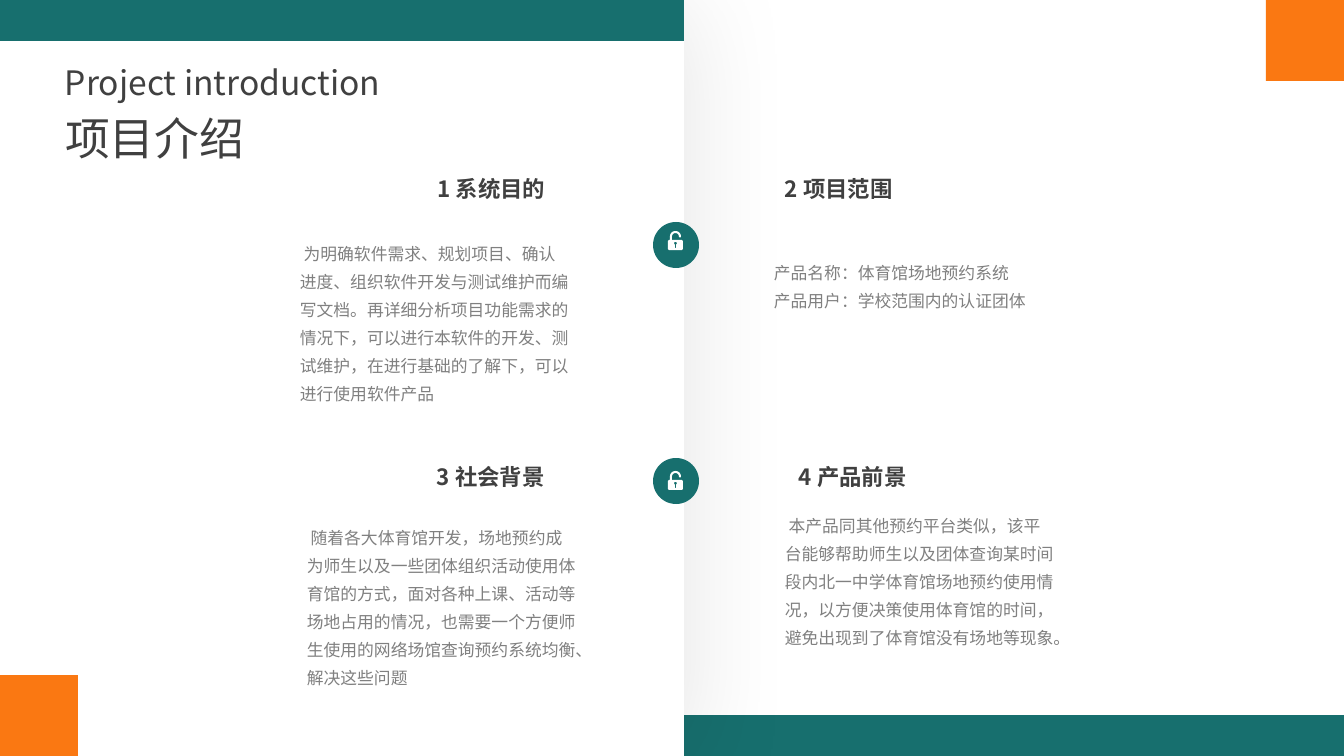
"""Build the project introduction slide with four numbered sections."""
import math
from typing import NamedTuple

from lxml import etree
from pptx import Presentation
from pptx.dml.color import RGBColor
from pptx.enum.shapes import MSO_SHAPE
from pptx.enum.text import MSO_ANCHOR, MSO_AUTO_SIZE, PP_ALIGN
from pptx.oxml.ns import qn
from pptx.util import Emu, Pt

RECTANGLE, OVAL = MSO_SHAPE.RECTANGLE, MSO_SHAPE.OVAL
LEFT, RIGHT = PP_ALIGN.LEFT, PP_ALIGN.RIGHT
TOP = MSO_ANCHOR.TOP
GROW = MSO_AUTO_SIZE.SHAPE_TO_FIT_TEXT

PIXEL = 914400 / 100.8
WIDTH, HEIGHT = 1344, 756
PANEL_WIDTH, BAND_HEIGHT = 684, 41
CORNER_WIDTH, CORNER_HEIGHT = 78, 81
BADGE_LEFT, BADGE_SIZE, LOCK_LEFT = 653, 46, 668
FONT = "Noto Sans CJK SC"
COLORS = {"teal": "176F6E", "orange": "FA7812", "white": "FFFFFF",
          "dark": "404040", "gray": "808080", "black": "000000"}


class Frame(NamedTuple):
    """Position and size in pixels."""
    left: int
    top: int
    width: int
    height: int


class TextStyle(NamedTuple):
    """Look of one kind of text."""
    size: int
    color: str
    bold: bool = False
    line_points: int | None = None


class Section(NamedTuple):
    """Heading and body text with their frames."""
    heading: str
    heading_frame: Frame
    body: str
    body_frame: Frame
    align: PP_ALIGN = LEFT


class Badge(NamedTuple):
    """Tops of a round badge and of its lock."""
    top: int
    lock_top: int


TITLE = TextStyle(32, "dark")
SUBTITLE = TextStyle(24, "dark")
HEADING = TextStyle(16, "dark", bold=True)
BODY = TextStyle(12, "gray", line_points=20)

SECTIONS = [
    Section("1 系统目的", Frame(403, 170, 152, 37),
            " 为明确软件需求、规划项目、确认进度、组织软件开发与测试维护而编写文档。"
            "再详细分析项目功能需求的情况下，可以进行本软件的开发、测试维护，"
            "在进行基础的了解下，可以进行使用软件产品",
            Frame(290, 231, 290, 179), RIGHT),
    Section("2 项目范围", Frame(775, 170, 181, 37),
            "产品名称：体育馆场地预约系统\n产品用户：学校范围内的认证团体",
            Frame(764, 250, 290, 67)),
    Section("3 社会背景", Frame(427, 458, 181, 37),
            " 随着各大体育馆开发，场地预约成为师生以及一些团体组织活动使用体育馆的方式，"
            "面对各种上课、活动等场地占用的情况，也需要一个方便师生使用的"
            "网络场馆查询预约系统均衡、解决这些问题",
            Frame(297, 515, 290, 179)),
    Section("4 产品前景", Frame(789, 458, 152, 37),
            " 本产品同其他预约平台类似，该平台能够帮助师生以及团体查询某时间段内"
            "北一中学体育馆场地预约使用情况，以方便决策使用体育馆的时间，"
            "避免出现到了体育馆没有场地等现象。",
            Frame(775, 503, 290, 151)),
]
BADGES = [Badge(222, 231), Badge(458, 471)]


def px(length: float) -> Emu:
    """Turn pixels into EMU."""
    return Emu(round(length * PIXEL))


def rgb(name: str) -> RGBColor:
    """Look up a colour by name."""
    return RGBColor.from_string(COLORS[name])


def paint(shape, color: str) -> None:
    """Give a shape a plain fill without line or shadow."""
    shape.shadow.inherit = False
    shape.fill.solid()
    shape.fill.fore_color.rgb = rgb(color)
    shape.line.fill.background()


def add_block(page, kind: MSO_SHAPE, frame: Frame, color: str):
    """Add a plain preset shape."""
    block = page.shapes.add_shape(kind, *map(px, frame))
    paint(block, color)
    return block


def add_soft_shadow(shape) -> None:
    """Cast a wide, faint shadow to the lower right."""
    effects = shape.element.spPr.find(qn("a:effectLst"))
    shadow = etree.SubElement(effects, qn("a:outerShdw"), blurRad=str(Pt(77)),
                              dist=str(Pt(5)), dir=str(45 * 60000),
                              algn="tl", rotWithShape="0")
    tint = etree.SubElement(shadow, qn("a:srgbClr"), val=COLORS["black"])
    etree.SubElement(tint, qn("a:alpha"), val="10000")


def write(box, text: str, style: TextStyle, align: PP_ALIGN = LEFT) -> None:
    """Fill a box with styled paragraphs."""
    frame = box.text_frame
    frame.word_wrap = True
    frame.auto_size = GROW
    frame.vertical_anchor = TOP
    frame.text = text
    for paragraph in frame.paragraphs:
        paragraph.alignment = align
        if style.line_points:
            paragraph.line_spacing = Pt(style.line_points)
        font = paragraph.font
        font.name, font.size, font.bold = FONT, Pt(style.size), style.bold
        font.color.rgb = rgb(style.color)
        defaults = paragraph._p.pPr.find(qn("a:defRPr"))
        etree.SubElement(defaults, qn("a:ea"), typeface=FONT)


def add_text(page, frame: Frame, text: str, style: TextStyle,
             align: PP_ALIGN = LEFT) -> None:
    """Add a text box."""
    write(page.shapes.add_textbox(*map(px, frame)), text, style, align)


def arc(center_x: int, center_y: int, radius: int, start: int,
        end: int) -> list[tuple[float, float]]:
    """List points along a circular arc, angles in degrees."""
    angles = [math.radians(start + (end - start) * step / 16) for step in range(17)]
    return [(center_x + radius * math.cos(angle), center_y + radius * math.sin(angle))
            for angle in angles]


def add_lock(page, left: int, top: int) -> None:
    """Draw an open padlock on a grid of tenths of a pixel."""
    outline = [(0, 100), (10, 90), (20, 90), *arc(75, 55, 55, 180, 360),
               *arc(120, 55, 10, 0, 180), *arc(75, 55, 35, 360, 180),
               (40, 90), (140, 90), (150, 100), (150, 180), (140, 190),
               (10, 190), (0, 180)]
    keyhole = [(68, 170), *arc(75, 123, 14, 120, 420), (82, 170)]
    builder = page.shapes.build_freeform(*outline[0], scale=PIXEL / 10)
    builder.add_line_segments(outline[1:])
    builder.move_to(*keyhole[0])
    builder.add_line_segments(keyhole[1:])
    paint(builder.convert_to_shape(px(left), px(top)), "white")


def build() -> None:
    """Compose and save the slide."""
    deck = Presentation()
    deck.slide_width, deck.slide_height = px(WIDTH), px(HEIGHT)
    page = deck.slides.add_slide(deck.slide_layouts[5])

    add_block(page, RECTANGLE, Frame(0, HEIGHT - BAND_HEIGHT, WIDTH, BAND_HEIGHT), "teal")
    add_block(page, RECTANGLE,
              Frame(WIDTH - CORNER_WIDTH, 0, CORNER_WIDTH, CORNER_HEIGHT), "orange")
    panel = add_block(page, RECTANGLE, Frame(0, 0, PANEL_WIDTH, HEIGHT), "white")
    add_soft_shadow(panel)
    for badge in BADGES:
        add_block(page, OVAL, Frame(BADGE_LEFT, badge.top, BADGE_SIZE, BADGE_SIZE), "teal")
        add_lock(page, LOCK_LEFT, badge.lock_top)

    title = page.shapes.title
    title.left, title.top, title.width, title.height = map(px, Frame(55, 106, 200, 65))
    write(title, "项目介绍", TITLE)
    title.text_frame.word_wrap = False
    panel.element.getparent().append(title.element)
    add_text(page, Frame(55, 57, 351, 47), "Project introduction", SUBTITLE)
    for section in SECTIONS:
        add_text(page, section.heading_frame, section.heading, HEADING, section.align)
        add_text(page, section.body_frame, section.body, BODY)

    add_block(page, RECTANGLE, Frame(0, 0, PANEL_WIDTH, BAND_HEIGHT), "teal")
    add_block(page, RECTANGLE,
              Frame(0, HEIGHT - CORNER_HEIGHT, CORNER_WIDTH, CORNER_HEIGHT), "orange")
    deck.save("out.pptx")


build()
